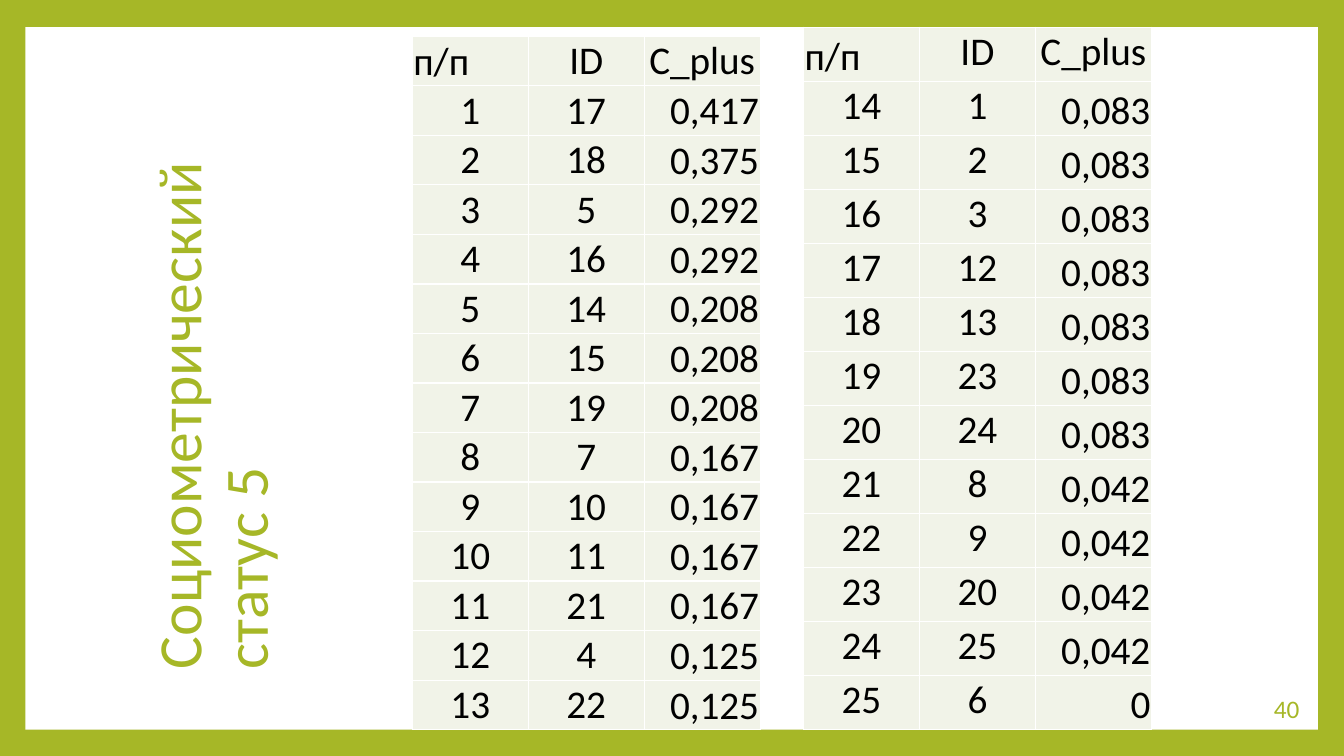
import dataclasses

import lxml.etree
import pptx
import pptx.dml.color
import pptx.enum.shapes
import pptx.enum.text
import pptx.oxml.ns
import pptx.util

ALIGN = pptx.enum.text.PP_ALIGN
ANCHOR = pptx.enum.text.MSO_ANCHOR
WIDE, HIGH = pptx.util.Inches(13.333), pptx.util.Inches(7.5)
HEAD = ("п/п", "ID", "C_plus")
FIRST = [
    (17, "0,417"), (18, "0,375"), (5, "0,292"), (16, "0,292"), (14, "0,208"),
    (15, "0,208"), (19, "0,208"), (7, "0,167"), (10, "0,167"), (11, "0,167"),
    (21, "0,167"), (4, "0,125"), (22, "0,125"),
]
LAST = [
    (1, "0,083"), (2, "0,083"), (3, "0,083"), (12, "0,083"), (13, "0,083"),
    (23, "0,083"), (24, "0,083"), (8, "0,042"), (9, "0,042"), (20, "0,042"),
    (25, "0,042"), (6, "0"),
]


@dataclasses.dataclass(frozen=True)
class Theme:
    """Colours, font and type sizes of the slide."""
    green: str = "A6B727"
    white: str = "FFFFFF"
    black: str = "000000"
    tint: str = "F1F3E8"
    font: str = "Calibri"
    title: int = 44
    body: int = 28
    small: int = 18


THEME = Theme()


def span(left, top, width, height):
    """Turn percent shares of the slide into lengths."""
    return (int(WIDE * left / 100), int(HIGH * top / 100),
            int(WIDE * width / 100), int(HIGH * height / 100))


def paint(fill, tone):
    """Give a fill one solid colour."""
    fill.solid()
    fill.fore_color.rgb = pptx.dml.color.RGBColor.from_string(tone)


def write(para, text, size, tone, align):
    """Add one run of text to a paragraph."""
    para.alignment = align
    run = para.add_run()
    run.text = text
    run.font.name = THEME.font
    run.font.size = pptx.util.Pt(size)
    run.font.color.rgb = pptx.dml.color.RGBColor.from_string(tone)


def edge(cell):
    """Draw thin white lines round a cell."""
    props = cell._tc.get_or_add_tcPr()
    for side in ("a:lnL", "a:lnR", "a:lnT", "a:lnB"):
        line = lxml.etree.SubElement(props, pptx.oxml.ns.qn(side), w="12700")
        fill = lxml.etree.SubElement(line, pptx.oxml.ns.qn("a:solidFill"))
        lxml.etree.SubElement(fill, pptx.oxml.ns.qn("a:srgbClr"), val=THEME.white)


def panel(slide, box):
    """Place the white page behind the title on the green ground."""
    paint(slide.background.fill, THEME.green)
    page = slide.shapes.add_shape(pptx.enum.shapes.MSO_SHAPE.RECTANGLE, *box)
    page.shadow.inherit = False
    paint(page.fill, THEME.white)
    page.line.fill.background()
    slide.shapes.title.element.addprevious(page.element)


def heading(slide, box, lines):
    """Turn the title a quarter left so that it fills the upright box."""
    left, top, width, height = box
    shift = (height - width) // 2
    title = slide.shapes.title
    title.left, title.top = left - shift, top + shift
    title.width, title.height = height, width
    title.rotation = 270
    frame = title.text_frame
    frame.auto_size = pptx.enum.text.MSO_AUTO_SIZE.NONE
    frame.word_wrap = True
    frame.vertical_anchor = ANCHOR.MIDDLE
    frame.margin_left = frame.margin_right = pptx.util.Inches(0.05)
    para = frame.paragraphs[0]
    para.line_spacing = 0.9
    for index, line in enumerate(lines):
        if index:
            para.add_line_break()
        write(para, line, THEME.title, THEME.green, ALIGN.LEFT)


def fill_cell(cell, text, align, low):
    """Format one table cell and write its text."""
    edge(cell)
    paint(cell.fill, THEME.tint)
    cell.margin_left = cell.margin_right = cell.margin_top = pptx.util.Inches(0.01)
    cell.margin_bottom = 0
    cell.vertical_anchor = ANCHOR.BOTTOM if low else ANCHOR.TOP
    write(cell.text_frame.paragraphs[0], text, THEME.body, THEME.black, align)


def ranking(slide, box, start, pairs):
    """Build a ranked table whose numbers begin at start."""
    rows = [HEAD] + [(str(rank), str(who), score)
                     for rank, (who, score) in enumerate(pairs, start)]
    table = slide.shapes.add_table(len(rows), len(HEAD), *box).table
    table.first_row = table.horz_banding = False
    for column in table.columns:
        column.width = box[2] // len(HEAD)
    for y, row in enumerate(rows):
        table.rows[y].height = box[3] // len(rows)
        for x, text in enumerate(row):
            align = ALIGN.CENTER
            if y == 0 and x == 0:
                align = ALIGN.LEFT
            elif y and x == 2:
                align = ALIGN.RIGHT
            fill_cell(table.cell(y, x), text, align, align != ALIGN.CENTER)


def number(slide, box, text):
    """Place the page number in the corner."""
    frame = slide.shapes.add_textbox(*box).text_frame
    frame.word_wrap = True
    frame.vertical_anchor = ANCHOR.MIDDLE
    write(frame.paragraphs[0], text, THEME.small, THEME.green, ALIGN.RIGHT)


def main():
    """Build the slide and save it."""
    deck = pptx.Presentation()
    deck.slide_width, deck.slide_height = WIDE, HIGH
    slide = deck.slides.add_slide(deck.slide_layouts[5])
    panel(slide, span(1.88, 3.6, 96.17, 92.93))
    number(slide, span(83.4, 91.07, 14.03, 5.33), "40")
    heading(slide, span(6.6, 6.93, 18.75, 82.27), ("Социометрический", "статус 5"))
    ranking(slide, span(30.68, 4.8, 25.88, 91.73), 1, FIRST)
    ranking(slide, span(59.79, 3.6, 25.88, 92.93), len(FIRST) + 1, LAST)
    deck.save("out.pptx")


if __name__ == "__main__":
    main()
